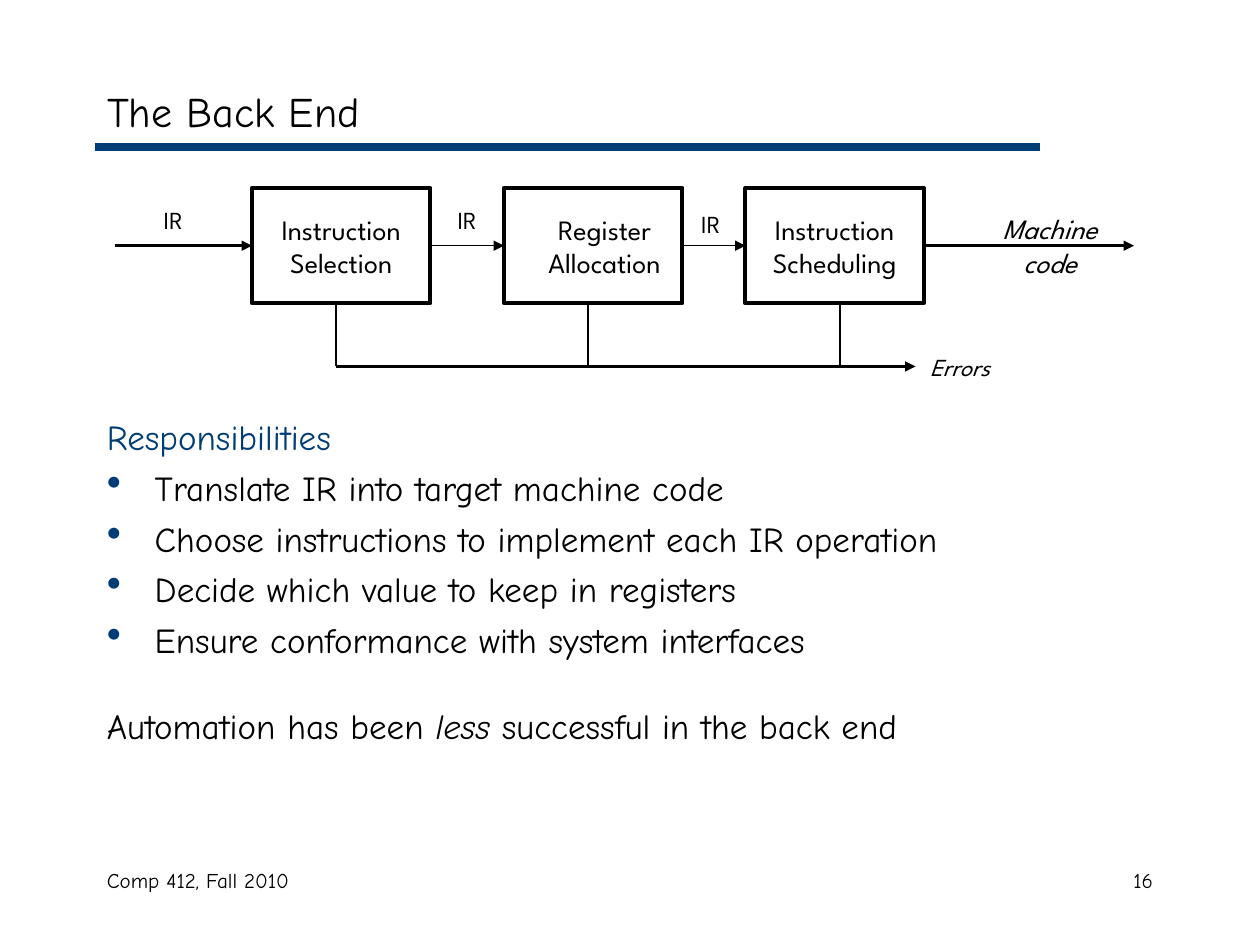
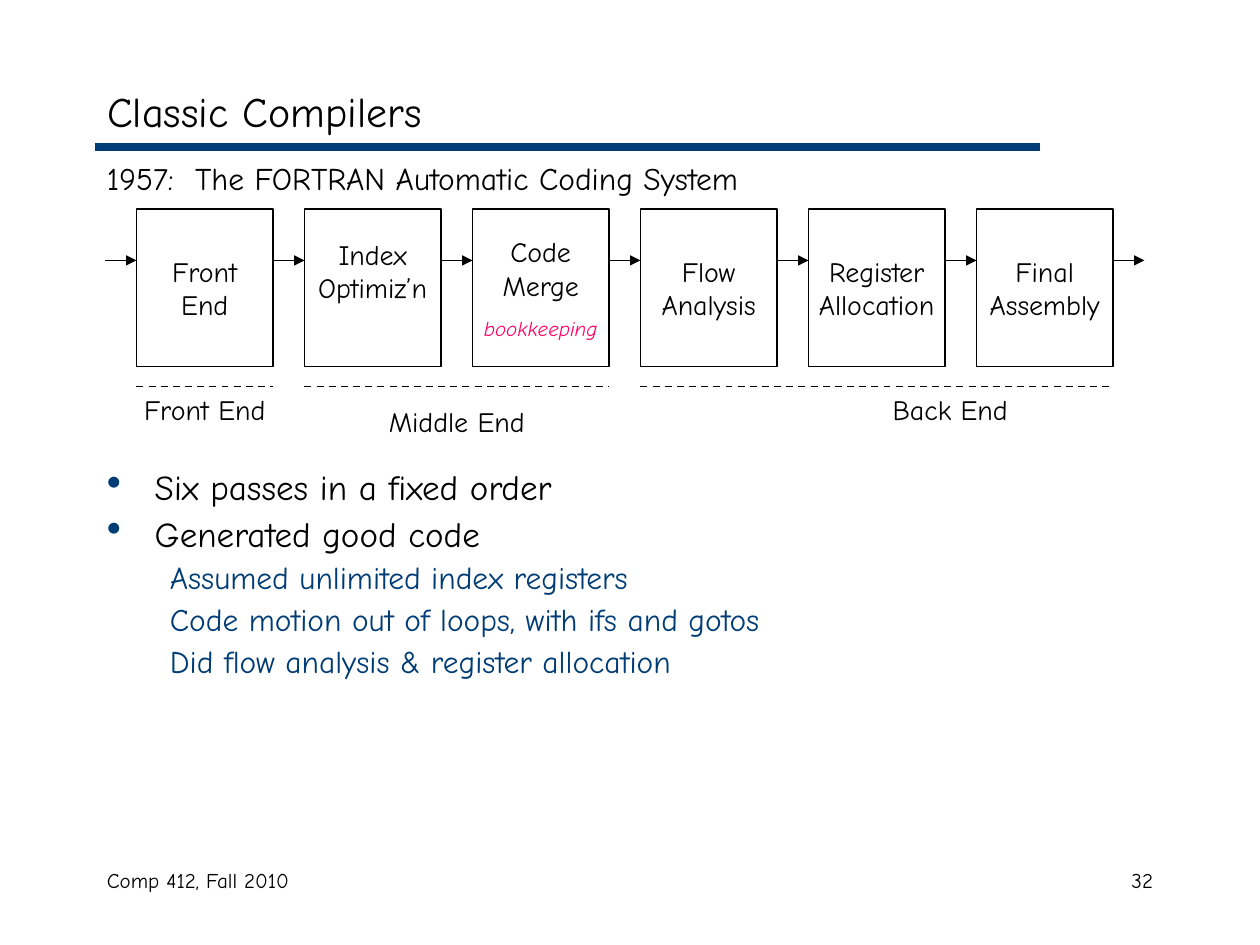
from lxml.etree import SubElement
from pptx import Presentation
from pptx.dml.color import RGBColor
from pptx.enum.dml import MSO_LINE
from pptx.enum.shapes import MSO_CONNECTOR, MSO_SHAPE
from pptx.enum.text import MSO_ANCHOR, PP_ALIGN
from pptx.oxml.ns import qn
from pptx.util import Inches, Pt

# Shared style; the slide is a grid of 120 columns by 90 rows
CELL = 1 / 12
COLS, ROWS = 120, 90
NAVY, BLACK, PINK = "003C75", "000000", "FF0065"
HAND, SANS = "Comic Neue", "League Spartan"
LEFT, BODY_W = 9, 102


def cells(n):
    return Inches(n * CELL)


def color(value):
    return RGBColor.from_string(value)


def add_bullet(p):
    pPr = p._p.get_or_add_pPr()
    pPr.set("marL", str(Inches(0.38)))
    pPr.set("indent", str(-Inches(0.38)))
    clr = SubElement(pPr, qn("a:buClr"))
    SubElement(clr, qn("a:srgbClr"), val=NAVY)
    SubElement(pPr, qn("a:buSzPct"), val="120000")
    SubElement(pPr, qn("a:buChar"), char="•")


def add_tab(p, inches):
    tabs = SubElement(p._p.get_or_add_pPr(), qn("a:tabLst"))
    SubElement(tabs, qn("a:tab"), pos=str(Inches(inches)), algn="l")


def add_run(p, text, size, c=BLACK, font=HAND, italic=False):
    r = p.add_run()
    r.text = text
    r.font.size, r.font.name, r.font.italic = Pt(size), font, italic
    r.font.color.rgb = color(c)


def next_para(tf, align=PP_ALIGN.LEFT, before=0, spacing=None):
    """Return the unused first paragraph, or a new one."""
    p = tf.paragraphs[0]
    if p.runs:
        p = tf.add_paragraph()
        p.space_before = Pt(before)
    p.alignment = align
    if spacing:
        p.line_spacing = spacing
    return p


def add_box(slide, x, y, w, h):
    tf = slide.shapes.add_textbox(cells(x), cells(y), cells(w), cells(h)).text_frame
    tf.word_wrap = True
    return tf


def add_label(slide, center, y, lines, size=16, font=HAND, italic=False, w=21):
    tf = add_box(slide, center - w / 2, y, w, 4 * len(lines))
    for line in lines:
        add_run(next_para(tf, PP_ALIGN.CENTER), line, size, font=font, italic=italic)


def add_line(slide, x1, y1, x2, y2, width, c=BLACK, arrow=False, dash=False):
    cn = slide.shapes.add_connector(MSO_CONNECTOR.STRAIGHT, cells(x1), cells(y1),
                                    cells(x2), cells(y2))
    cn.line.color.rgb = color(c)
    cn.line.width = Pt(width)
    if dash:
        cn.line.dash_style = MSO_LINE.DASH
    if arrow:
        SubElement(cn.line._get_or_add_ln(), qn("a:tailEnd"), type="triangle")
    SubElement(cn._element.spPr, qn("a:effectLst"))


def add_stage(slide, x, y, w, h, lines, line_width, font, shift=0, lift=0):
    """Outlined box; shift and lift (inches) move its text off centre."""
    sp = slide.shapes.add_shape(MSO_SHAPE.RECTANGLE, cells(x), cells(y), cells(w), cells(h))
    sp.shadow.inherit = False
    sp.fill.background()
    sp.line.color.rgb = color(BLACK)
    sp.line.width = Pt(line_width)
    tf = sp.text_frame
    tf.word_wrap = True
    tf.vertical_anchor = MSO_ANCHOR.MIDDLE
    tf.margin_left, tf.margin_bottom = Inches(shift), Inches(lift)
    tf.margin_right = tf.margin_top = 0
    for line in lines:
        add_run(next_para(tf, PP_ALIGN.CENTER), line, 16, font=font)
    return tf


def add_slide(prs, title, number):
    """Title, rule and footer common to all slides."""
    slide = prs.slides.add_slide(prs.slide_layouts[5])
    ph = slide.shapes.title
    ph.left, ph.top, ph.width, ph.height = cells(LEFT), cells(7), cells(BODY_W), cells(7)
    ph.text_frame.vertical_anchor = MSO_ANCHOR.MIDDLE
    add_run(next_para(ph.text_frame), title, 24)
    add_line(slide, LEFT, 14, 99, 14, 4.5, NAVY)
    add_run(next_para(add_box(slide, LEFT, 82, 38, 6)), "Comp 412, Fall 2010", 12)
    add_run(next_para(add_box(slide, 86, 82, 25, 6), PP_ALIGN.RIGHT), number, 12)
    return slide


def back_end_diagram(slide, x, y):
    stage_w, stage_h, flow, bus = 17, 11, y + 5.5, y + 17
    stages = [(13, ["Instruction", "Selection"], 0),
              (37, ["Register", "Allocation"], 0.18),
              (60, ["Instruction", "Scheduling"], 0)]
    # Stages
    for col, lines, shift in stages:
        add_stage(slide, x + col, y, stage_w, stage_h, lines, 2.25, SANS, shift)
    # Flow between stages
    starts = [0] + [col + stage_w for col, _, _ in stages]
    ends = [col for col, _, _ in stages] + [97]
    for start, end, width in zip(starts, ends, (1.5, 0.75, 0.75, 1.5)):
        add_line(slide, x + start, flow, x + end, flow, width, arrow=True)
    for center, top in ((5.5, 1), (33.5, 1), (56.7, 1.4)):
        add_label(slide, x + center, y + top, ["IR"], 14, SANS, w=6)
    add_label(slide, x + 89, y + 1.65, ["Machine", "code"], 16, SANS, True, w=16)
    # Error bus
    for i in range(3):
        drop = x + 21 + 24 * i
        add_line(slide, drop, y + stage_h, drop, bus, 1.5)
    add_line(slide, x + 21, bus, x + 76.2, bus, 1.5, arrow=True)
    errors = next_para(add_box(slide, x + 76.4, y + 15, 12, 4))
    add_run(errors, "Errors", 14, font=SANS, italic=True)


def fortran_diagram(slide, x, y):
    stage_w, gap, stage_h, flow, dashes = 13, 3, 15, y + 4.9, y + 16.9
    pitch = stage_w + gap
    stages = [["Front", "End"], ["Index", "Optimiz’n"], ["Code", "Merge"],
              ["Flow", "Analysis"], ["Register", "Allocation"], ["Final", "Assembly"]]
    # Passes, each with the arrow that enters it
    for i, lines in enumerate(stages):
        left = x + gap + i * pitch
        tf = add_stage(slide, left, y, stage_w, stage_h, lines, 1, HAND,
                       lift=0.27 if lines[0] == "Index" else 0)
        if lines[0] == "Code":
            note = next_para(tf, PP_ALIGN.CENTER, before=7.5)
            add_run(note, "bookkeeping", 12, PINK, italic=True)
        add_line(slide, left - gap, flow, left, flow, 1, arrow=True)
    end = x + len(stages) * pitch
    add_line(slide, end, flow, end + gap, flow, 1, arrow=True)
    # Groups of passes: first, last, label centre, label row
    groups = [("Front End", 0, 0, 9.5, 16.9), ("Middle End", 1, 2, 33.5, 18),
              ("Back End", 3, 5, 80.5, 16.9)]
    for name, first, last, center, row in groups:
        add_line(slide, x + gap + first * pitch, dashes,
                 x + (last + 1) * pitch, dashes, 1, dash=True)
        add_label(slide, x + center, y + row, [name])


def add_bullets(tf, lines, spacing=None):
    for line in lines:
        p = next_para(tf, before=5, spacing=spacing)
        add_bullet(p)
        add_run(p, line, 20)


def back_end_slide(prs):
    slide = add_slide(prs, "The Back End", "16")
    back_end_diagram(slide, 11, 17.9)
    tf = add_box(slide, LEFT, 39, BODY_W, 41)
    add_run(next_para(tf), "Responsibilities", 20, NAVY)
    add_bullets(tf, ["Translate IR into target machine code",
                     "Choose instructions to implement each IR operation",
                     "Decide which value to keep in registers",
                     "Ensure conformance with system interfaces"])
    p = next_para(tf, before=25)
    add_run(p, "Automation has been ", 20)
    add_run(p, "less", 20, italic=True)
    add_run(p, " successful in the back end", 20)


def classic_slide(prs):
    slide = add_slide(prs, "Classic Compilers", "32")
    p = next_para(add_box(slide, LEFT, 15, BODY_W, 4), spacing=0.9)
    add_tab(p, 0.7)
    add_run(p, "1957:\tThe FORTRAN Automatic Coding System", 18)
    fortran_diagram(slide, 10, 19.9)
    tf = add_box(slide, LEFT, 44.2, BODY_W, 35.8)
    add_bullets(tf, ["Six passes in a fixed order", "Generated good code"], 0.9)
    for line in ("Assumed unlimited index registers",
                 "Code motion out of loops, with ifs and gotos",
                 "Did flow analysis & register allocation"):
        p = next_para(tf, before=4.5, spacing=0.9)
        p._p.get_or_add_pPr().set("marL", str(Inches(0.5)))
        add_run(p, line, 18, NAVY)


def main():
    prs = Presentation()
    prs.slide_width, prs.slide_height = cells(COLS), cells(ROWS)
    back_end_slide(prs)
    classic_slide(prs)
    prs.save("out.pptx")


if __name__ == "__main__":
    main()
